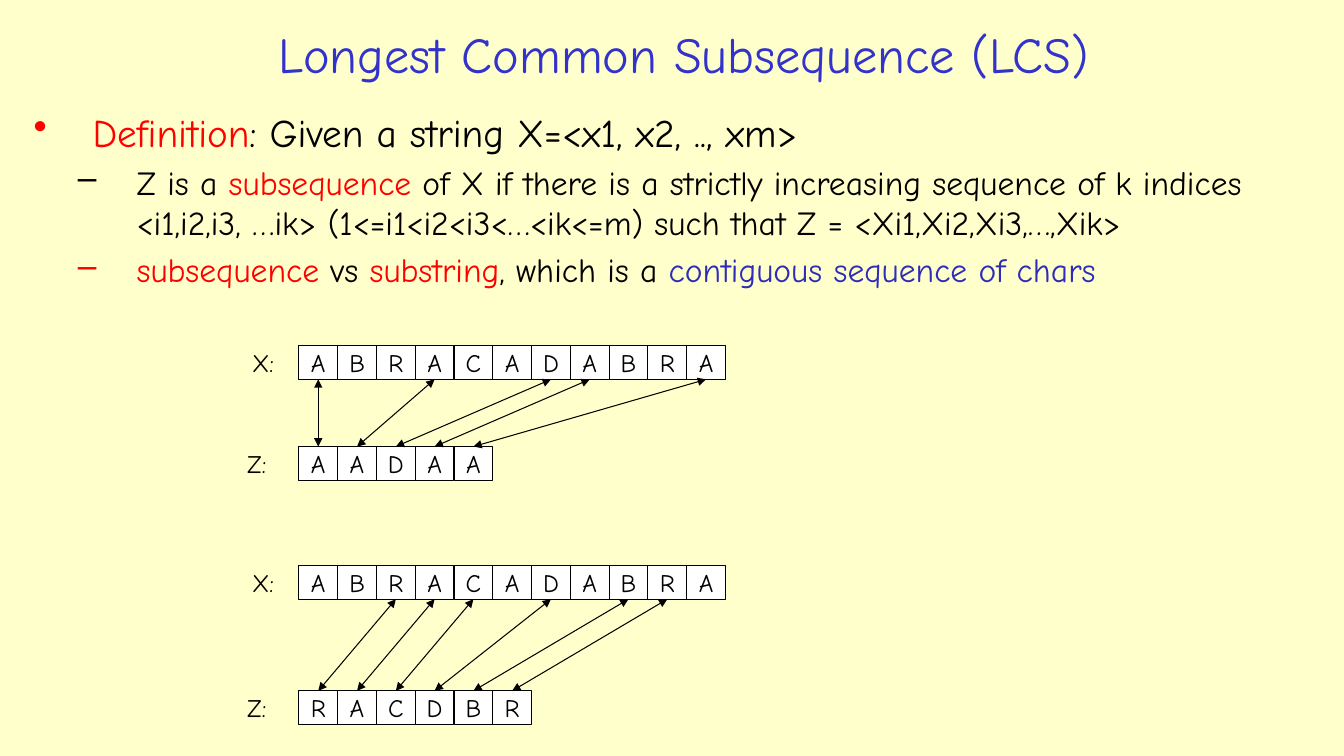
import pptx
import pptx.util
import pptx.dml.color
import pptx.enum.shapes
import pptx.enum.text
import pptx.oxml
import pptx.oxml.ns

Pt = pptx.util.Pt
ALIGN = pptx.enum.text.PP_ALIGN
ANCHOR = pptx.enum.text.MSO_ANCHOR

FONT = "Comic Neue"
COLORS = {
    "paper": "FFFFCC",
    "title": "3333CC",
    "red": "FF0000",
    "blue": "2D2DB9",
    "black": "000000",
    "white": "FFFFFF",
}

TITLE = "Longest Common Subsequence (LCS)"
BODY = [
    ("•", 28, 42, 0, [("Definition", "red"), (": Given a string X=<x1, x2, .., xm>", "black")]),
    ("–", 24, 73.5, 4.8, [
        ("Z is a ", "black"),
        ("subsequence", "red"),
        (" of X if there is a strictly increasing sequence of k indices "
         "<i1,i2,i3, …ik> (1<=i1<i2<i3<…<ik<=m) such that Z = <Xi1,Xi2,Xi3,…,Xik>", "black"),
    ]),
    ("–", 24, 73.5, 4.8, [
        ("subsequence ", "red"),
        ("vs", "black"),
        (" substring", "red"),
        (", which is a ", "black"),
        ("contiguous sequence of chars", "blue"),
    ]),
]
HANGING = 42

WORD = "ABRACADABRA"
EXAMPLES = [
    {"x_top": 247, "z_top": 319, "z": "AADAA", "matches": [0, 3, 6, 7, 10]},
    {"x_top": 404, "z_top": 493.5, "z": "RACDBR", "matches": [2, 3, 4, 6, 8, 9]},
]
ROW_LEFT, CELL_PITCH, CELL_HEIGHT = 213.5, 27.7, 24
LABEL_LEFT = {"X:": 173, "Z:": 169.5}


def rgb(name):
    return pptx.dml.color.RGBColor.from_string(COLORS[name])


def add_run(p, text, size, color):
    r = p.add_run()
    r.text = text
    r.font.name = FONT
    r.font.size = Pt(size)
    r.font.color.rgb = rgb(color)


def add_box(s, left, top, width, height, wrap=True):
    tf = s.shapes.add_textbox(Pt(left), Pt(top), Pt(width), Pt(height)).text_frame
    tf.word_wrap = wrap
    return tf


def add_bullet(p, char, left):
    pPr = p._p.get_or_add_pPr()
    pPr.set("marL", str(Pt(left)))
    pPr.set("indent", str(-Pt(HANGING)))
    bullet = pptx.oxml.parse_xml(f'<a:buChar {pptx.oxml.ns.nsdecls("a")} char="{char}"/>')
    pPr.append(bullet)


def add_cell(s, letter, left, top):
    sp = s.shapes.add_shape(
        pptx.enum.shapes.MSO_SHAPE.RECTANGLE, Pt(left), Pt(top), Pt(CELL_PITCH), Pt(CELL_HEIGHT))
    sp.shadow.inherit = False
    sp.fill.solid()
    sp.fill.fore_color.rgb = rgb("white")
    sp.line.color.rgb = rgb("black")
    sp.line.width = Pt(0.75)
    tf = sp.text_frame
    tf.word_wrap = False
    tf.vertical_anchor = ANCHOR.MIDDLE
    p = tf.paragraphs[0]
    p.alignment = ALIGN.CENTER
    add_run(p, letter, 18, "black")
    return sp


def add_row(s, label, word, top):
    tf = add_box(s, LABEL_LEFT[label], top - 2.5, 33, 29, wrap=False)
    add_run(tf.paragraphs[0], label, 18, "black")
    return [add_cell(s, letter, ROW_LEFT + i * CELL_PITCH, top) for i, letter in enumerate(word)]


def add_match(s, upper, lower):
    line = s.shapes.add_connector(pptx.enum.shapes.MSO_CONNECTOR.STRAIGHT, 0, 0, 0, 0)
    line.begin_connect(upper, 2)
    line.end_connect(lower, 0)
    line.line.color.rgb = rgb("black")
    line.line.width = Pt(0.75)
    ns = pptx.oxml.ns.nsdecls("a")
    ln = line.line._get_or_add_ln()
    for end in ("headEnd", "tailEnd"):
        ln.append(pptx.oxml.parse_xml(f'<a:{end} {ns} type="triangle"/>'))
    line._element.spPr.append(pptx.oxml.parse_xml(f"<a:effectLst {ns}/>"))


def main():
    prs = pptx.Presentation()
    prs.slide_width, prs.slide_height = Pt(960), Pt(540)
    s = prs.slides.add_slide(prs.slide_layouts[6])
    s.background.fill.solid()
    s.background.fill.fore_color.rgb = rgb("paper")

    tf = add_box(s, 142, 11, 693, 54.5)
    tf.vertical_anchor = ANCHOR.MIDDLE
    p = tf.paragraphs[0]
    p.alignment = ALIGN.CENTER
    add_run(p, TITLE, 36, "title")

    tf = add_box(s, 17, 73.5, 931, 155.5)
    for i, (char, size, left, before, runs) in enumerate(BODY):
        p = tf.add_paragraph() if i else tf.paragraphs[0]
        add_bullet(p, char, left)
        p.space_before = Pt(before)
        for text, color in runs:
            add_run(p, text, size, color)

    for example in EXAMPLES:
        x_cells = add_row(s, "X:", WORD, example["x_top"])
        z_cells = add_row(s, "Z:", example["z"], example["z_top"])
        for index, z_cell in zip(example["matches"], z_cells):
            add_match(s, x_cells[index], z_cell)

    prs.save("out.pptx")


if __name__ == "__main__":
    main()
